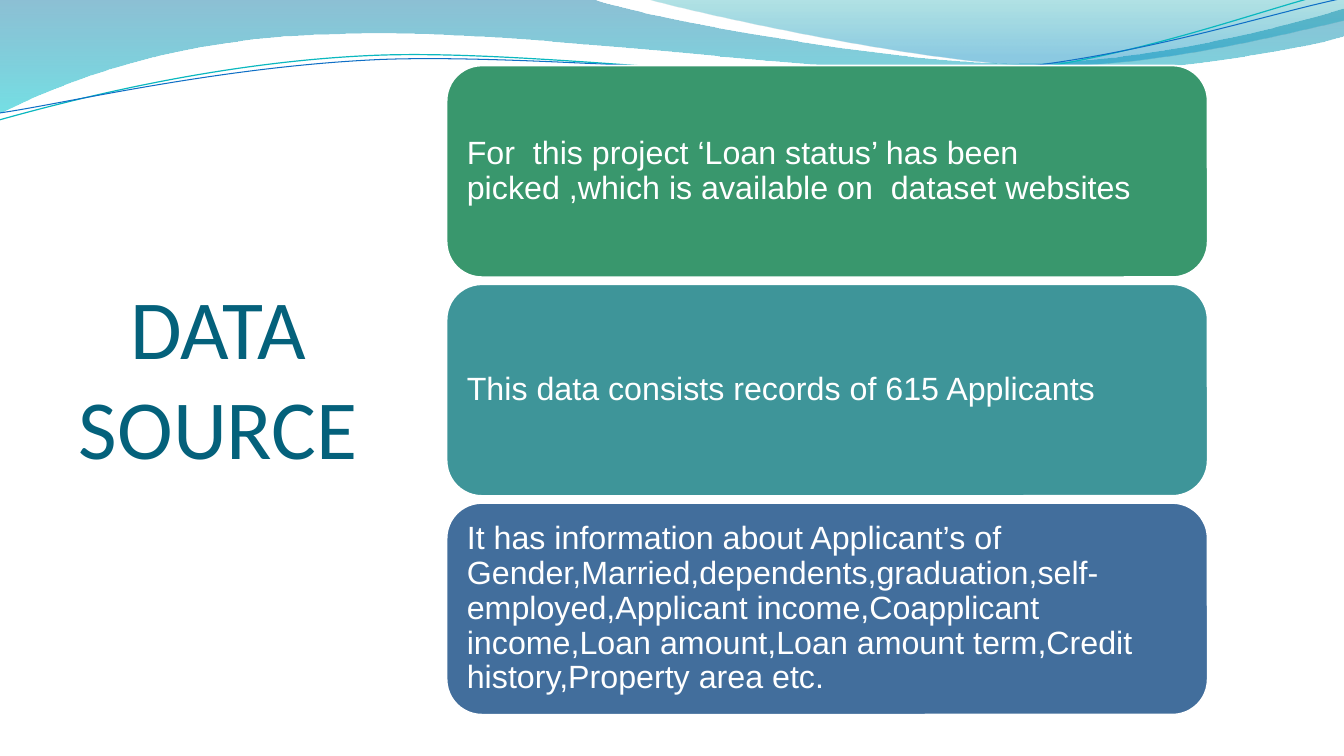
from lxml import etree
from pptx import Presentation
from pptx.dml.color import RGBColor
from pptx.enum.shapes import MSO_SHAPE as SHAPE
from pptx.enum.text import MSO_ANCHOR as ANCHOR, PP_ALIGN as ALIGN
from pptx.oxml.ns import qn
from pptx.util import Pt

WHITE = RGBColor(0xFF, 0xFF, 0xFF)
TITLE_BLUE = RGBColor(0x04, 0x61, 0x7B)
GREEN = RGBColor(0x39, 0x97, 0x6D)
TEAL = RGBColor(0x3E, 0x95, 0x99)
BLUE = RGBColor(0x42, 0x6E, 0x9C)
WAVE_TEAL = RGBColor(0x0A, 0xB8, 0xBF)
WAVE_BLUE = RGBColor(0x0F, 0x6F, 0xC6)
DEEP_BLUE = RGBColor(0x00, 0x74, 0xA1)
CYAN = RGBColor(0x00, 0xC6, 0xCF)
SEA = RGBColor(0x00, 0xA1, 0xA9)
SKY = RGBColor(0x00, 0x8B, 0xBF)

TITLE = "DATA SOURCE"
CARDS = [
    ("For  this project ‘Loan status’ has been picked ,which is available on  dataset websites", GREEN),
    ("This data consists records of 615 Applicants", TEAL),
    ("It has information about Applicant’s of Gender,Married,dependents,graduation,"
     "self-employed,Applicant income,Coapplicant income,Loan amount,Loan amount term,"
     "Credit history,Property area etc.", BLUE),
]

# Each wave: start point, then steps of one point (line) or three points (Bézier curve).
# Gradient stops: position %, colour, opacity %.
FILLED_WAVES = [
    ((0, 0), [
        [(422.6, -0.7)],
        [(456.5, 12.2), (637.2, 45.4), (727.9, 45.4)],
        [(819.4, 45.4), (920.2, 18.7), (959.8, 6.5)],
        [(961.2, 25.9)],
        [(944, 31.7), (835.2, 54.7), (715.7, 54)],
        [(596.9, 54), (366.5, 20.2), (247, 24.5)],
        [(123.1, 25.9), (43.9, 59.8), (-0.7, 81.4)],
    ], [(0, DEEP_BLUE, 45), (100, CYAN, 55)]),
    ((460.1, -0.7), [
        [(488.9, 7.9), (654.5, 44.6), (738, 46.8)],
        [(821.5, 49.7), (923, 23), (959.8, 15.1)],
        [(959.8, 0)],
    ], [(0, SEA, 30), (80, SKY, 45)]),
]
LINE_WAVES = [
    ((-2.3, 63.1), [
        [(45.1, 52.3), (152.1, 29.2), (266, 29.6)],
        [(379.8, 29.9), (567.7, 66.8), (683.2, 64.4)],
        [(798.5, 62.6), (902.6, 25.7), (960.1, 15.5)],
    ], WAVE_TEAL, 0.85),
    ((-1.3, 58), [
        [(44.4, 53.7), (157.2, 32.3), (272.4, 32.7)],
        [(386.9, 33.8), (572.2, 63.4), (687, 61.6)],
        [(802.3, 59.8), (904.6, 30), (962.1, 21.2)],
    ], WAVE_BLUE, 0.75),
]
LINE_WAVE_TILT = 357.3

CARD_LEFT, CARD_TOP, CARD_W, CARD_H, CARD_GAP = 319, 46.8, 543.6, 151.2, 5.04


def add_wave(s, start, steps, close):
    """Draw a freeform through all points, then join each three-point step into a curve."""
    builder = s.shapes.build_freeform(Pt(start[0]), Pt(start[1]))
    builder.add_line_segments([(Pt(x), Pt(y)) for step in steps for x, y in step], close=close)
    sp = builder.convert_to_shape()
    sp.shadow.inherit = False
    segments = iter(list(sp._element.iter(qn("a:lnTo"))))
    for step in steps:
        parts = [next(segments) for _ in step]
        if len(parts) == 3:
            curve = etree.Element(qn("a:cubicBezTo"))
            parts[0].addprevious(curve)
            for part in parts:
                curve.append(part[0])
                part.getparent().remove(part)
    return sp


def set_gradient(sp, stops):
    """Fill from top to bottom with partly transparent stops."""
    sp.fill.gradient()
    grad = sp._element.spPr.find(qn("a:gradFill"))
    for child in list(grad):
        grad.remove(child)
    stop_list = etree.SubElement(grad, qn("a:gsLst"))
    for position, color, opacity in stops:
        stop = etree.SubElement(stop_list, qn("a:gs"), pos=str(position * 1000))
        rgb = etree.SubElement(stop, qn("a:srgbClr"), val=str(color))
        etree.SubElement(rgb, qn("a:alpha"), val=str(opacity * 1000))
    etree.SubElement(grad, qn("a:lin"), ang="5400000", scaled="0")


def write(sp, text, font, size, color, align):
    tf = sp.text_frame
    tf.word_wrap = True
    tf.vertical_anchor = ANCHOR.MIDDLE
    p = tf.paragraphs[0]
    p.alignment = align
    r = p.add_run()
    r.text = text
    r.font.name, r.font.size, r.font.color.rgb = font, Pt(size), color
    return tf, p


def main():
    prs = Presentation()
    prs.slide_width, prs.slide_height = Pt(960), Pt(540)
    s = prs.slides.add_slide(prs.slide_layouts[6])

    for start, steps, stops in FILLED_WAVES:
        wave = add_wave(s, start, steps, True)
        set_gradient(wave, stops)
        wave.line.fill.background()
    for start, steps, color, width in LINE_WAVES:
        wave = add_wave(s, start, steps, False)
        wave.rotation = LINE_WAVE_TILT
        wave.fill.background()
        wave.line.color.rgb, wave.line.width = color, Pt(width)

    title = s.shapes.add_textbox(Pt(-7.2), Pt(46.8), Pt(326.2), Pt(443.5))
    write(title, TITLE, "Calibri", 60, TITLE_BLUE, ALIGN.CENTER)

    for i, (text, color) in enumerate(CARDS):
        top = CARD_TOP + i * (CARD_H + CARD_GAP)
        card = s.shapes.add_shape(SHAPE.ROUNDED_RECTANGLE, Pt(CARD_LEFT), Pt(top),
                                  Pt(CARD_W), Pt(CARD_H))
        card.shadow.inherit = False
        card.fill.solid()
        card.fill.fore_color.rgb = color
        card.line.color.rgb, card.line.width = WHITE, Pt(1.25)
        tf, p = write(card, text, "Arial", 23, WHITE, ALIGN.LEFT)
        tf.margin_left = tf.margin_right = tf.margin_top = tf.margin_bottom = Pt(7.2)
        p.line_spacing = 0.9

    prs.save("out.pptx")


if __name__ == "__main__":
    main()
